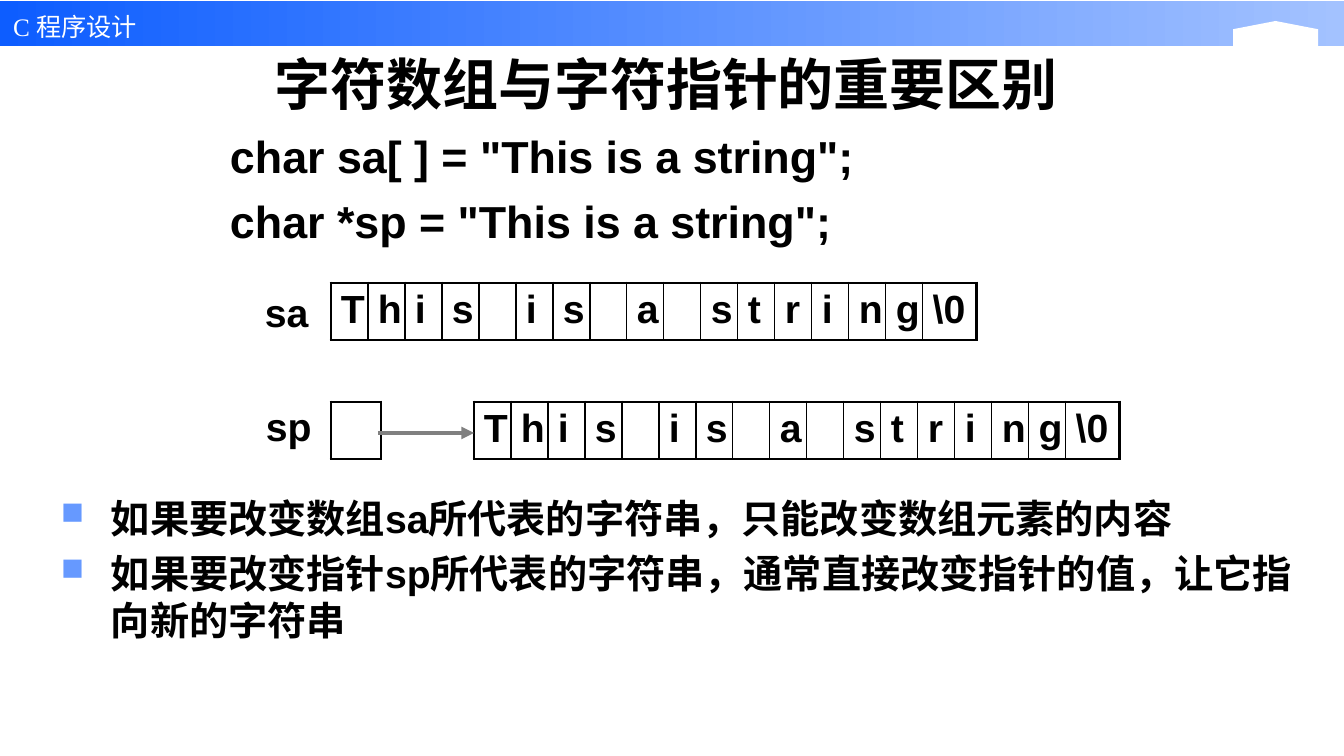
from dataclasses import dataclass

from lxml import etree
from pptx import Presentation
from pptx.dml.color import RGBColor
from pptx.enum.shapes import MSO_CONNECTOR, MSO_SHAPE
from pptx.enum.text import MSO_ANCHOR, PP_ALIGN
from pptx.oxml.ns import qn
from pptx.util import Emu, Pt

RECTANGLE = MSO_SHAPE.RECTANGLE
PENTAGON_TAB = MSO_SHAPE.FLOWCHART_OFFPAGE_CONNECTOR
STRAIGHT = MSO_CONNECTOR.STRAIGHT
LEFT, CENTER = PP_ALIGN.LEFT, PP_ALIGN.CENTER
TOP, MIDDLE = MSO_ANCHOR.TOP, MSO_ANCHOR.MIDDLE

PX_PER_INCH = 100.8
EMU_PER_INCH = 914400
INSET_X, INSET_Y = 10, 5
CELL_WIDTH, LAST_CELL_WIDTH, POINTER_WIDTH, ROW_HEIGHT = 37, 54, 50, 57


@dataclass(frozen=True)
class Theme:
    font: str = "Arial"
    header_font: str = "Times New Roman"
    ink: str = "000000"
    paper: str = "FFFFFF"
    bar_start: str = "0D5DFF"
    bar_end: str = "A3C2FF"
    bullet: str = "6699FF"
    arrow: str = "808080"
    header_size: float = 18
    title_size: float = 40
    code_size: float = 32
    body_size: float = 28
    outer_line: float = 2.25
    inner_line: float = 1
    arrow_line: float = 3


THEME = Theme()


def px(length):
    return Emu(round(length * EMU_PER_INCH / PX_PER_INCH))


def color(code):
    return RGBColor.from_string(code)


def child(parent, tag, **attributes):
    return etree.SubElement(parent, qn(tag), attributes)


def style_font(font, size, code=THEME.ink, name=THEME.font, bold=True):
    font.name, font.size, font.bold = name, Pt(size), bold
    font.color.rgb = color(code)


def add_bullet(properties):
    bullet_color = child(properties, "a:buClr")
    child(bullet_color, "a:srgbClr", val=THEME.bullet)
    child(properties, "a:buSzPct", val="80000")
    child(properties, "a:buChar", char="■")


def add_text(page, area, lines, size, align=LEFT, anchor=TOP, margin=0, hanging=0,
             gap=0, line_spacing=None, bullets=False, **font_options):
    """Add a text box; margin and hanging are px, gap is points between paragraphs."""
    box = page.shapes.add_textbox(*map(px, area))
    frame = box.text_frame
    frame.word_wrap = True
    frame.vertical_anchor = anchor
    frame.margin_left = frame.margin_right = px(INSET_X)
    frame.margin_top = frame.margin_bottom = px(INSET_Y)
    frame.text = "\n".join(lines)
    for index, para in enumerate(frame.paragraphs):
        properties = para._p.get_or_add_pPr()
        properties.set("marL", str(px(margin)))
        properties.set("indent", str(px(-hanging)))
        if bullets:
            add_bullet(properties)
        para.alignment = align
        if line_spacing:
            para.line_spacing = line_spacing
        if index:
            para.space_before = Pt(gap)
        style_font(para.font, size, **font_options)


def add_plain_shape(page, kind, area):
    shape = page.shapes.add_shape(kind, *map(px, area))
    shape.shadow.inherit = False
    shape.line.fill.background()
    return shape


def add_header(page):
    bar = add_plain_shape(page, RECTANGLE, (0, 1, 1344, 45))
    bar.fill.gradient()
    bar.fill.gradient_angle = 0
    for stop, code in zip(bar.fill.gradient_stops, (THEME.bar_start, THEME.bar_end)):
        stop.color.rgb = color(code)
    tab = add_plain_shape(page, PENTAGON_TAB, (1233, 21, 85, 41))
    tab.rotation = 180
    tab.fill.solid()
    tab.fill.fore_color.rgb = color(THEME.paper)
    add_text(page, (3, 0, 468, 43), ["C 程序设计"], THEME.header_size, line_spacing=1.2,
             code=THEME.paper, name=THEME.header_font, bold=False)


def set_borders(cell, left, right):
    """Draw the four cell borders; top and bottom are always outer lines."""
    properties = cell._tc.get_or_add_tcPr()
    widths = {"a:lnL": left, "a:lnR": right,
              "a:lnT": THEME.outer_line, "a:lnB": THEME.outer_line}
    for index, (tag, width) in enumerate(widths.items()):
        line = child(properties, tag, w=str(Pt(width)))
        fill = child(line, "a:solidFill")
        child(fill, "a:srgbClr", val=THEME.ink)
        properties.insert(index, line)


def add_memory(page, left, top, values, widths):
    """Add a one-row table that shows one value per memory cell."""
    area = (left, top, sum(widths), ROW_HEIGHT)
    table = page.shapes.add_table(1, len(values), *map(px, area)).table
    table.first_row = table.horz_banding = False
    last = len(values) - 1
    for index, (value, width) in enumerate(zip(values, widths)):
        table.columns[index].width = px(width)
        cell = table.cell(0, index)
        cell.margin_left = cell.margin_right = px(INSET_X)
        cell.margin_top = cell.margin_bottom = px(INSET_Y)
        cell.fill.background()
        set_borders(cell,
                    THEME.inner_line if index else THEME.outer_line,
                    THEME.inner_line if index < last else THEME.outer_line)
        if value.strip():
            cell.text = value
            style_font(cell.text_frame.paragraphs[0].font, THEME.body_size)


def add_string(page, left, top):
    letters = [*"This is a string"]
    add_memory(page, left, top, letters + ["\\0"],
               [CELL_WIDTH] * len(letters) + [LAST_CELL_WIDTH])


def add_variable_name(page, left, top, name):
    add_text(page, (left, top, 135, 47), [name], THEME.body_size, margin=82, hanging=31)


def add_arrow(page, start, end):
    arrow = page.shapes.add_connector(STRAIGHT, *map(px, start + end))
    arrow.line.color.rgb = color(THEME.arrow)
    arrow.line.width = Pt(THEME.arrow_line)
    child(arrow.line._get_or_add_ln(), "a:tailEnd", type="triangle")
    child(arrow._element.spPr, "a:effectLst")


def main():
    deck = Presentation()
    deck.slide_width, deck.slide_height = px(1344), px(756)
    page = deck.slides.add_slide(deck.slide_layouts[6])

    add_header(page)
    add_text(page, (219, 50, 907, 66), ["字符数组与字符指针的重要区别 "],
             THEME.title_size, align=CENTER, anchor=MIDDLE)
    add_text(page, (220, 124, 699, 127),
             ['char sa[ ] = "This is a string";', 'char *sp = "This is a string";'],
             THEME.code_size, margin=38, hanging=38, gap=8)

    add_variable_name(page, 204, 283, "sa")
    add_string(page, 331, 283)

    add_variable_name(page, 205, 397, "sp")
    add_string(page, 474, 402)
    add_memory(page, 331, 402, [""], [POINTER_WIDTH])
    add_arrow(page, (378, 433), (474, 433))

    add_text(page, (0, 489, 1331, 230),
             ["如果要改变数组sa所代表的字符串，只能改变数组元素的内容",
              "如果要改变指针sp所代表的字符串，通常直接改变指针的值，让它指向新的字符串"],
             THEME.body_size, margin=101, hanging=50, gap=6, bullets=True)
    deck.save("out.pptx")


if __name__ == "__main__":
    main()
